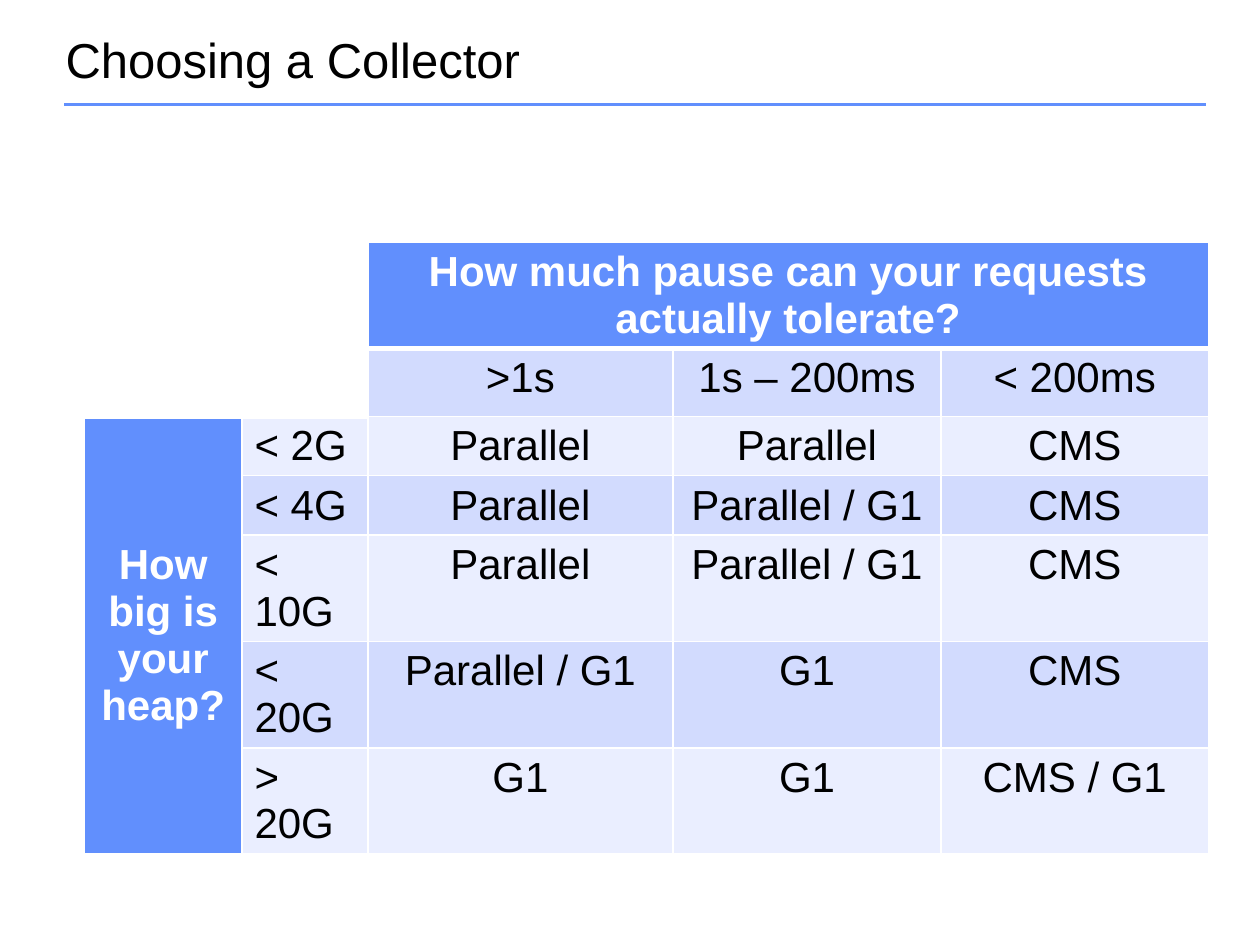
from lxml import etree
from pptx import Presentation
from pptx.dml.color import RGBColor
from pptx.enum.shapes import MSO_CONNECTOR
from pptx.enum.text import MSO_ANCHOR, PP_ALIGN
from pptx.oxml.ns import qn
from pptx.util import Pt

LEFT, CENTER = PP_ALIGN.LEFT, PP_ALIGN.CENTER
TOP, MIDDLE = MSO_ANCHOR.TOP, MSO_ANCHOR.MIDDLE
STRAIGHT = MSO_CONNECTOR.STRAIGHT

# Content
TITLE = "Choosing a Collector"
PAUSE_QUESTION = "How much pause can your requests actually tolerate?"
HEAP_QUESTION = "How big is your heap?"
PAUSES = [">1s", "1s – 200ms", "< 200ms"]
COLLECTORS = [
    ("< 2G", "Parallel", "Parallel", "CMS"),
    ("< 4G", "Parallel", "Parallel / G1", "CMS"),
    ("< 10G", "Parallel", "Parallel / G1", "CMS"),
    ("< 20G", "Parallel / G1", "G1", "CMS"),
    ("> 20G", "G1", "G1", "CMS / G1"),
]

# Layout, at 100 px to the inch
PX = 9144
SLIDE = (1000, 750)
TITLE_BOX = (42, 25, 917, 50)
RULE = (51, 83, 957, 83)
TABLE_ORIGIN = (67, 192)
COLUMNS = [125, 100, 242, 213, 212]
ROWS = [74, 54] + [43] * len(COLLECTORS)

THEME = {
    "font": "Arial", "title_size": 28, "table_size": 24, "rule_width": 2,
    "border": 1, "header_border": 3,
    "text": "000000", "white": "FFFFFF", "accent": "618FFD",
    "bands": ("D2DBFE", "EAEEFF"),
}


def px(lengths):
    return [length * PX for length in lengths]


def style_text(paragraph, size, color, bold=False):
    for run in paragraph.runs:
        run.font.name = THEME["font"]
        run.font.size = Pt(size)
        run.font.bold = bold
        run.font.color.rgb = RGBColor.from_string(color)


def set_borders(cell, bottom, top):
    properties = cell._tc.get_or_add_tcPr()
    for side, width in (("L", THEME["border"]), ("R", THEME["border"]), ("T", top), ("B", bottom)):
        line = etree.SubElement(properties, qn("a:ln" + side), w=str(Pt(width)))
        fill = etree.SubElement(line, qn("a:solidFill"))
        etree.SubElement(fill, qn("a:srgbClr"), val=THEME["white"])


def fill_cell(cell, text, fill, color=THEME["text"], bold=False, align=CENTER, anchor=TOP):
    cell.fill.solid()
    cell.fill.fore_color.rgb = RGBColor.from_string(fill)
    cell.vertical_anchor = anchor
    cell.text_frame.text = text
    paragraph = cell.text_frame.paragraphs[0]
    paragraph.alignment = align
    style_text(paragraph, THEME["table_size"], color, bold)


def add_title(slide):
    title = slide.shapes.title
    title.left, title.top, title.width, title.height = px(TITLE_BOX)
    title.text_frame.text = TITLE
    title.text_frame.vertical_anchor = MIDDLE
    heading = title.text_frame.paragraphs[0]
    heading.alignment = LEFT
    heading.line_spacing = 0.9
    style_text(heading, THEME["title_size"], THEME["text"])

    rule = slide.shapes.add_connector(STRAIGHT, *px(RULE))
    rule.line.color.rgb = RGBColor.from_string(THEME["accent"])
    rule.line.width = Pt(THEME["rule_width"])
    etree.SubElement(rule._element.spPr, qn("a:effectLst"))


def add_collector_table(slide):
    grid = slide.shapes.add_table(
        len(ROWS), len(COLUMNS), *px(TABLE_ORIGIN), *px((sum(COLUMNS), sum(ROWS)))).table
    grid.first_row = grid.horz_banding = False
    for column, width in zip(grid.columns, px(COLUMNS)):
        column.width = width
    for row, height in zip(grid.rows, px(ROWS)):
        row.height = height

    # Borders, thicker under the pause question
    for r in range(len(ROWS)):
        for c in range(len(COLUMNS)):
            bottom = THEME["header_border"] if r == 0 else THEME["border"]
            top = THEME["header_border"] if r == 1 else THEME["border"]
            set_borders(grid.cell(r, c), bottom, top)

    # Blank corner and the two questions
    grid.cell(0, 0).merge(grid.cell(1, 1))
    grid.cell(0, 2).merge(grid.cell(0, 4))
    grid.cell(2, 0).merge(grid.cell(len(ROWS) - 1, 0))
    fill_cell(grid.cell(0, 0), "", THEME["white"])
    for position, question in (((0, 2), PAUSE_QUESTION), ((2, 0), HEAP_QUESTION)):
        fill_cell(grid.cell(*position), question, THEME["accent"], THEME["white"],
                  bold=True, anchor=MIDDLE)

    # Banded answers: pauses across, heap sizes down
    for r, answers in enumerate([("", *PAUSES), *COLLECTORS], start=1):
        band = THEME["bands"][(r - 1) % 2]
        for c, answer in enumerate(answers, start=1):
            if answer:
                fill_cell(grid.cell(r, c), answer, band, align=LEFT if c == 1 else CENTER)


def main():
    deck = Presentation()
    deck.slide_width, deck.slide_height = px(SLIDE)
    slide = deck.slides.add_slide(deck.slide_layouts[5])
    add_title(slide)
    add_collector_table(slide)
    deck.save("out.pptx")


if __name__ == "__main__":
    main()
